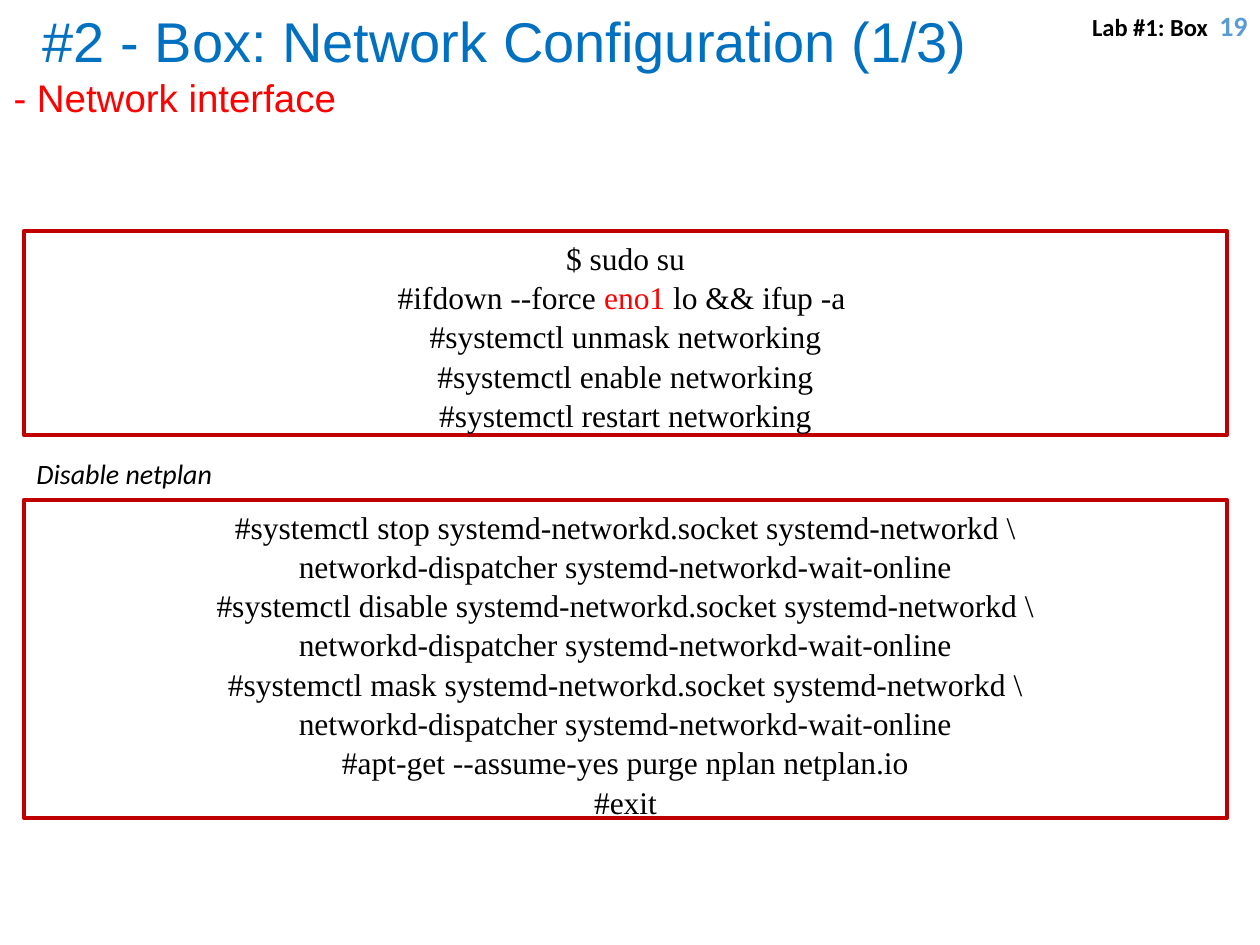
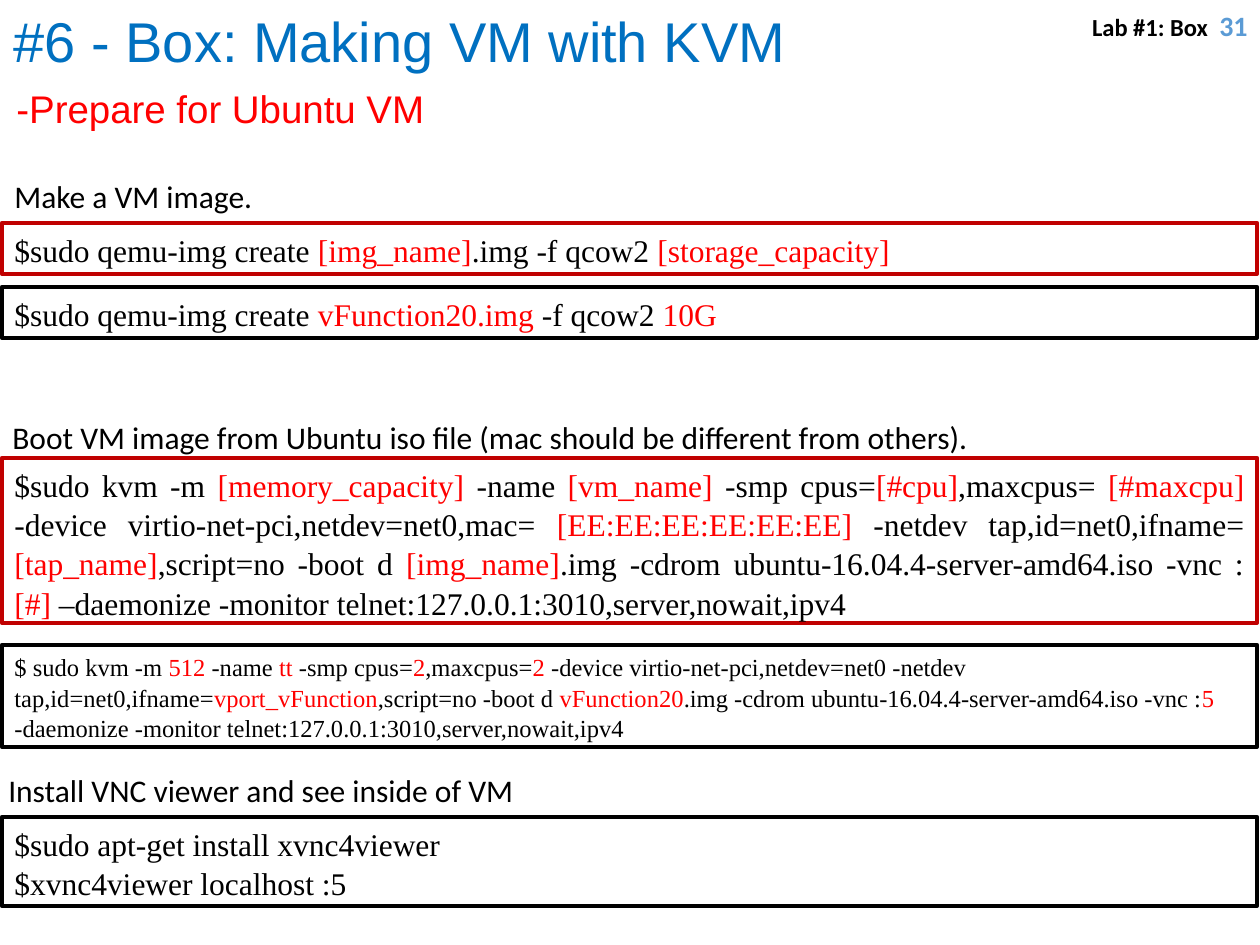
"""Build two lab slides on network configuration and virtual machines."""
from pptx import Presentation, util as u
from pptx.dml.color import RGBColor
from pptx.enum import shapes, text

PX = 914400 / 126
BLUE = RGBColor(0x00, 0x70, 0xC0)
PALE_BLUE = RGBColor(0x5B, 0x9B, 0xD5)
RED = RGBColor(0xFF, 0x00, 0x00)
DARK_RED = RGBColor(0xC0, 0x00, 0x00)
BLACK = RGBColor(0x00, 0x00, 0x00)
LEFT, CENTER = text.PP_ALIGN.LEFT, text.PP_ALIGN.CENTER
RIGHT, JUSTIFY = text.PP_ALIGN.RIGHT, text.PP_ALIGN.JUSTIFY

TITLE = dict(name="Arial", size=u.Pt(32), bold=False, color=BLUE)
SUBTITLE = dict(TITLE, size=u.Pt(22), color=RED)
LABEL = dict(name="Calibri", size=u.Pt(18), color=BLACK)
NOTE = dict(LABEL, size=u.Pt(16), italic=True)
FOOTER = dict(LABEL, size=u.Pt(14), bold=True)
NUMBER = dict(FOOTER, size=u.Pt(16), color=PALE_BLUE)
CODE = dict(name="Times New Roman", size=u.Pt(18), color=BLACK)
SMALL_CODE = dict(CODE, size=u.Pt(14))

UNITS = "networkd-dispatcher systemd-networkd-wait-online"
RESTART = ["$ sudo su", "#ifdown --force |eno1 |lo && ifup -a "] + [
    f"#systemctl {verb} networking" for verb in ("unmask", "enable", "restart")]
DISABLE = [line for verb in ("stop", "disable", "mask") for line in (
    f"#systemctl {verb} systemd-networkd.socket systemd-networkd \\", UNITS)]
DISABLE += ["#apt-get --assume-yes purge nplan netplan.io", "#exit"]
CREATE = "$sudo qemu-img create |[img_name]|.img -f qcow2 |[storage_capacity]"
CREATE_SAMPLE = "$sudo qemu-img create |vFunction20.img| -f qcow2 |10G"
BOOT = ("$sudo kvm -m |[memory_capacity] |-name |[vm_name] |-smp cpus=|[#cpu]|,maxcpus= "
        "|[#maxcpu]| -device virtio-net-pci,netdev=net0,mac= |[EE:EE:EE:EE:EE:EE]"
        "| -netdev tap,id=net0,ifname=| [tap_name]|,script=no -boot d |[img_name]"
        "|.img -cdrom ubuntu-16.04.4-server-amd64.iso -vnc :|[#] "
        "|–daemonize -monitor telnet:127.0.0.1:3010,server,nowait,ipv4")
BOOT_SAMPLE = ("$ sudo kvm -m |512| -name |tt| -smp cpus=|2|,maxcpus=|2"
               "| -device virtio-net-pci,netdev=net0 -netdev tap,id=net0,ifname="
               "|vport_vFunction|,script=no -boot d |vFunction20"
               "|.img -cdrom ubuntu-16.04.4-server-amd64.iso -vnc :|5 "
               "|-daemonize -monitor telnet:127.0.0.1:3010,server,nowait,ipv4")
VIEWER = ["$sudo apt-get install xvnc4viewer", "$xvnc4viewer localhost :5"]


def emu(box):
    """Turn a box in px into EMU lengths."""
    return [round(v * PX) for v in box]


def add_run(p, words, style):
    """Append a run with the given format values."""
    r = p.add_run()
    r.text = words
    for key, value in style.items():
        if key == "color":
            r.font.color.rgb = value
        else:
            setattr(r.font, key, value)


def write(tf, paragraphs, wrap=True, anchor=text.MSO_ANCHOR.TOP, spacing=None):
    """Fill a frame with (alignment, [(words, style), ...]) paragraphs."""
    tf.word_wrap, tf.vertical_anchor = wrap, anchor
    tf.auto_size = text.MSO_AUTO_SIZE.NONE
    for i, (align, runs) in enumerate(paragraphs):
        p = tf.add_paragraph() if i else tf.paragraphs[0]
        p.alignment = align
        if spacing:
            p.line_spacing = spacing
        for words, style in runs:
            add_run(p, words, style)


def add_text(s, box, words, style, align=LEFT, wrap=True):
    """Add a one-paragraph text box."""
    write(s.shapes.add_textbox(*emu(box)).text_frame, [(align, [(words, style)])], wrap)


def add_code(s, box, lines, outline, align=LEFT, style=CODE):
    """Add a framed command box; every second part between bars is red."""
    sp = s.shapes.add_shape(shapes.MSO_SHAPE.RECTANGLE, *emu(box))
    sp.shadow.inherit = False
    sp.fill.background()
    sp.line.color.rgb, sp.line.width = outline, u.Pt(2.5)
    styles = style, dict(style, color=RED)
    write(sp.text_frame, [
        (align, [(part, styles[i % 2]) for i, part in enumerate(line.split("|"))])
        for line in lines], spacing=1.04)


def add_base(prs, number, title_box, title):
    """Add a slide with its title and the lab tag in the corner."""
    s = prs.slides.add_slide(prs.slide_layouts[5])
    sp = s.shapes.title
    sp.left, sp.top, sp.width, sp.height = emu(title_box)
    write(sp.text_frame, title)
    tag = s.shapes.add_textbox(*emu((976, 0, 284, 50)))
    write(tag.text_frame, [(RIGHT, [("Lab #1: Box  ", FOOTER), (str(number), NUMBER)])],
          anchor=text.MSO_ANCHOR.MIDDLE)
    return s


def network_slide(prs):
    """Build the network interface slide."""
    s = add_base(prs, 19, (1, 0, 1009, 127), [
        (CENTER, [("#2 - Box: Network Configuration (1/3)", TITLE)]),
        (LEFT, [("- Network interface", SUBTITLE)])])
    x, w = 24, 1203
    add_code(s, (x, 231, w, 204), RESTART, DARK_RED, CENTER)
    add_text(s, (x, 450, 699, 47), "Disable netplan", NOTE)
    add_code(s, (x, 500, w, 318), DISABLE, DARK_RED, CENTER)


def vm_slide(prs):
    """Build the virtual machine slide."""
    s = add_base(prs, 31, (1, 0, 1014, 81),
                 [(LEFT, [("#6 - Box: Making VM with KVM", TITLE)])])
    add_text(s, (4, 79, 457, 59), "-Prepare for Ubuntu VM", SUBTITLE, wrap=False)
    x, w = 2, 1255
    for box, words, align in (
            ((2, 171, 1012, 50), "Make a VM image.", JUSTIFY),
            ((0, 412, 1260, 50), "Boot VM image from Ubuntu iso file "
             "(mac should be different from others).", JUSTIFY),
            ((-4, 765, 1260, 50), "Install VNC viewer and see inside of VM", LEFT)):
        add_text(s, box, words, LABEL, align)
    for y, h, lines, outline, align, style in (
            (223, 51, [CREATE], DARK_RED, JUSTIFY, CODE),
            (287, 51, [CREATE_SAMPLE], BLACK, LEFT, CODE),
            (458, 165, [BOOT], DARK_RED, JUSTIFY, CODE),
            (645, 102, [BOOT_SAMPLE], BLACK, LEFT, SMALL_CODE),
            (817, 89, VIEWER, BLACK, JUSTIFY, CODE)):
        add_code(s, (x, y, w, h), lines, outline, align, style)


def main():
    """Build and save the deck."""
    prs = Presentation()
    prs.slide_width, prs.slide_height = emu((1260, 945))
    network_slide(prs)
    vm_slide(prs)
    prs.save("out.pptx")


if __name__ == "__main__":
    main()
